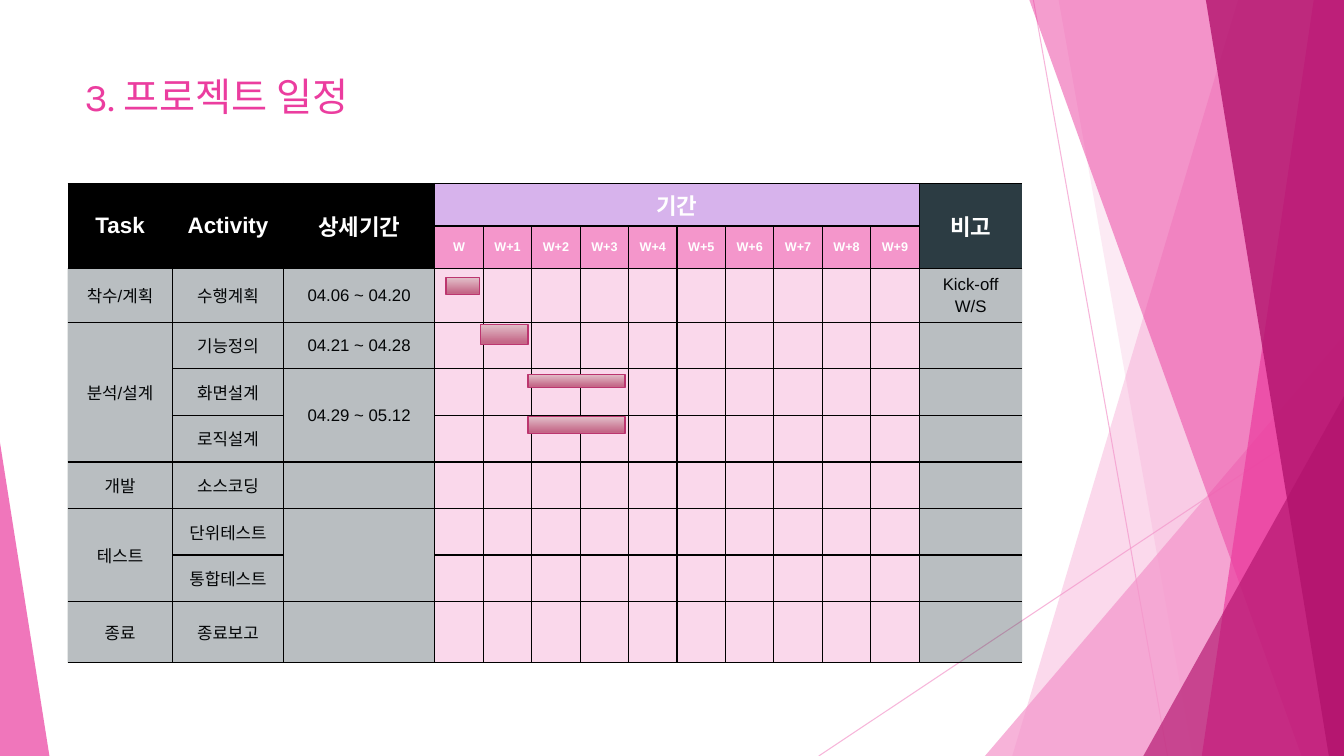
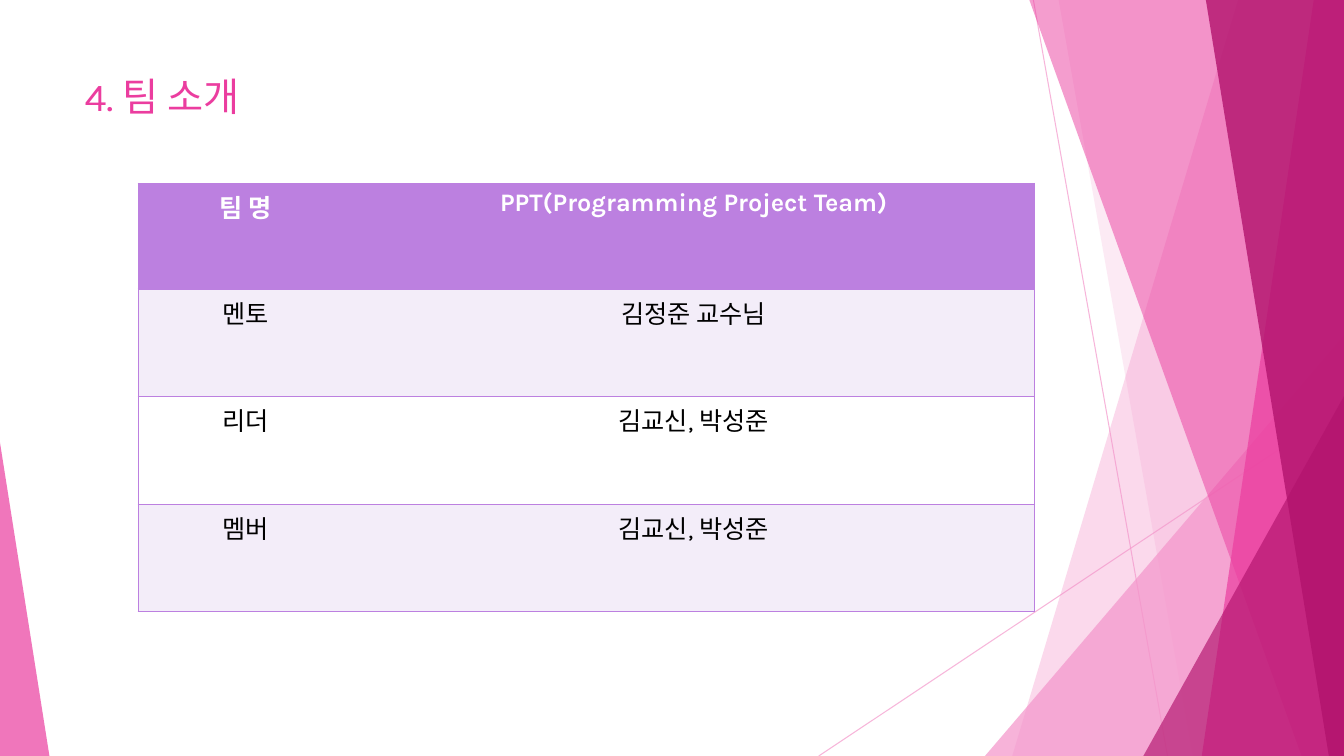
import itertools

import lxml.etree
import pptx
import pptx.dml.color
import pptx.enum.shapes
import pptx.enum.text
import pptx.oxml.ns
import pptx.util

RGB = pptx.dml.color.RGBColor
SHAPE = pptx.enum.shapes.MSO_SHAPE
qn = pptx.oxml.ns.qn
Pt = pptx.util.Pt
Inches = pptx.util.Inches

SLIDE_W, SLIDE_H = Inches(13.33), Inches(7.5)

WHITE = RGB(0xFF, 0xFF, 0xFF)
BLACK = RGB(0x00, 0x00, 0x00)
INK = RGB(0x04, 0x06, 0x07)
SLATE = RGB(0x2C, 0x3C, 0x43)
PINK = RGB(0xF4, 0x96, 0xCB)
MAGENTA = RGB(0xEB, 0x3D, 0x9F)
BERRY = RGB(0xB2, 0x13, 0x6D)
LILAC = RGB(0xD7, 0xB3, 0xEC)
PURPLE = RGB(0xBC, 0x80, 0xE0)
PALE_LILAC = RGB(0xF3, 0xED, 0xF9)
BAR_LIGHT = RGB(0xE2, 0xBF, 0xC9)
BAR_DARK = RGB(0xC4, 0x67, 0x87)
BAR_EDGE = RGB(0xBC, 0x35, 0x6F)

# Backdrop, in percent of the slide: colour, opacity, then the outline
RAYS = [(76.89, 0, 86.87, 100), (100, 53.73, 60.92, 100)]
FACETS = [
    ("band", PINK, 36, (92.12, 75.32)),
    ("band", PINK, 20, (78.77, 88.75)),
    ("triangle", PINK, 72, (73.29, 44.4, 26.71, 55.6), 1),
    ("band", MAGENTA, 50, (76.59, 96.85)),
    ("band", MAGENTA, 70, (97.75, 89.42)),
    ("band", BERRY, 80, (89.72, 98.87)),
    ("triangle", BERRY, 66, (85.07, 52.4, 14.93, 47.6), 1),
    ("triangle", MAGENTA, 70, (0, 58.53, 3.68, 41.47), 0),
]
TITLE_AREA = (5.55, 8.93, 70.52, 19.2)

# Cell styles
CENTRED = {"vertical_anchor": pptx.enum.text.MSO_ANCHOR.MIDDLE}
NARROW = {**CENTRED, "margin_left": 0, "margin_right": 0}


def cell_style(fill, opacity, ink, size, bold=False, name="Arial", cell=CENTRED, before=0.2):
    return {"fill": fill, "opacity": opacity, "ink": ink, "cell": cell,
            "font": {"size": Pt(size), "bold": bold, "name": name},
            "paragraph": {"alignment": pptx.enum.text.PP_ALIGN.CENTER,
                          "space_before": Pt(size * before)}}


HEAD = cell_style(BLACK, 100, WHITE, 16, True)
PERIOD = cell_style(LILAC, 100, WHITE, 16, True)
REMARK = cell_style(SLATE, 100, WHITE, 16, True)
WEEK = cell_style(PINK, 100, WHITE, 9, True, cell=NARROW)
LABEL = cell_style(SLATE, 33, INK, 12)
SLOT = cell_style(PINK, 37, INK, 12)
TEAM_HEAD, TEAM_TINT, TEAM_PLAIN = (
    cell_style(fill, 100, ink, 18, bold, "Karla", {}, 0)
    for fill, ink, bold in [(PURPLE, WHITE, True), (PALE_LILAC, BLACK, False),
                            (WHITE, BLACK, False)])

# Schedule content
WEEKS = 10
FIRST_WEEK = 3
LAST = FIRST_WEEK + WEEKS
SCHEDULE_AREA = (5.03, 24.27, 71.04, 63.07)
SCHEDULE_COLS = [1.04, 1.1, 1.5] + [0.48] * WEEKS + [1.02]
SCHEDULE_ROWS = [0.42, 0.42, 0.51] + [0.46] * 6 + [0.6]
TASKS = [
    ("착수/계획", "수행계획", "04.06 ~ 04.20", "Kick-off\nW/S"),
    ("분석/설계", "기능정의", "04.21 ~ 04.28", ""),
    ("", "화면설계", "04.29 ~ 05.12", ""),
    ("", "로직설계", "", ""),
    ("개발", "소스코딩", "", ""),
    ("테스트", "단위테스트", "", ""),
    ("", "통합테스트", "", ""),
    ("종료", "종료보고", "", ""),
]
MERGES = [(0, 0, 1, 0), (0, 1, 1, 1), (0, 2, 1, 2), (0, FIRST_WEEK, 0, LAST - 1),
          (0, LAST, 1, LAST), (3, 0, 5, 0), (4, 2, 5, 2), (7, 0, 8, 0), (7, 2, 8, 2)]
# Row, start week, weeks; then drop and height as shares of the row
BARS = [(2, 0.23, 0.69, 0.18, 0.33), (3, 0.94, 0.98, 0.09, 0.43),
        (4, 1.92, 2, 0.17, 0.28), (5, 1.92, 2, 0.07, 0.37)]

# Team content
TEAM_AREA = (10.28, 24.27, 66.69, 56.67)
TEAM_COLS = [2.13, 6.76]
TEAM_ROWS = [1.05, 1.07, 1.07, 1.07]
TEAM = [("팀 명", "PPT(Programming Project Team)"), ("멘토", "김정준 교수님"),
        ("리더", "김교신, 박성준"), ("멤버", "김교신, 박성준")]


def apply(target, values):
    for key, value in values.items():
        setattr(target, key, value)


def across(percent):
    return round(SLIDE_W * percent / 100)


def down(percent):
    return round(SLIDE_H * percent / 100)


def area(left, top, width, height):
    return across(left), down(top), across(width), down(height)


def set_opacity(element, percent):
    for colour in element.iter(qn("a:srgbClr")):
        lxml.etree.SubElement(colour, qn("a:alpha")).set("val", str(percent * 1000))


def draw_backdrop(slide):
    # Thin rays
    for x1, y1, x2, y2 in RAYS:
        ray = slide.shapes.add_connector(pptx.enum.shapes.MSO_CONNECTOR.STRAIGHT,
                                         across(x1), down(y1), across(x2), down(y2))
        ray.line.color.rgb = PINK
        ray.line.width = Pt(0.75)
        set_opacity(ray.element, 70)
        lxml.etree.SubElement(ray.element.spPr, qn("a:effectLst"))
    # Translucent facets; a band runs from its slanted left side to the slide edge
    for kind, colour, opacity, outline, *apex in FACETS:
        if kind == "band":
            top_x, bottom_x = map(across, outline)
            builder = slide.shapes.build_freeform(top_x, 0)
            builder.add_line_segments([(SLIDE_W, 0), (SLIDE_W, SLIDE_H), (bottom_x, SLIDE_H)])
            facet = builder.convert_to_shape()
        else:
            facet = slide.shapes.add_shape(SHAPE.ISOSCELES_TRIANGLE, *area(*outline))
            facet.adjustments[0] = apex[0]
        facet.shadow.inherit = False
        facet.fill.solid()
        facet.fill.fore_color.rgb = colour
        facet.line.fill.background()
        set_opacity(facet.element, opacity)


def draw_title(slide, wording):
    frame = slide.shapes.add_textbox(*area(*TITLE_AREA)).text_frame
    frame.word_wrap = True
    run = frame.paragraphs[0].add_run()
    run.text = wording
    apply(run.font, {"size": Pt(28), "name": "Karla"})
    run.font.color.rgb = MAGENTA


def start_slide(deck, wording):
    slide = deck.slides.add_slide(deck.slide_layouts[6])
    draw_backdrop(slide)
    draw_title(slide, wording)
    return slide


def set_borders(cell, edges, colour):
    properties = cell._tc.get_or_add_tcPr()
    for place, edge in enumerate("LRTB"):
        border = lxml.etree.Element(qn("a:ln" + edge), w=str(Pt(1)))
        if edge in edges:
            fill = lxml.etree.SubElement(border, qn("a:solidFill"))
            lxml.etree.SubElement(fill, qn("a:srgbClr"), val=str(colour))
        else:
            lxml.etree.SubElement(border, qn("a:noFill"))
        properties.insert(place, border)


def format_cell(cell, wording, style):
    apply(cell, style["cell"])
    cell.fill.solid()
    cell.fill.fore_color.rgb = style["fill"]
    if style["opacity"] < 100:
        set_opacity(cell._tc, style["opacity"])
    if not wording:
        return
    cell.text_frame.text = wording
    for paragraph in cell.text_frame.paragraphs:
        apply(paragraph, style["paragraph"])
        for run in paragraph.runs:
            apply(run.font, style["font"])
            run.font.color.rgb = style["ink"]


def draw_table(slide, box, col_shares, row_shares, content, border, edges_at, merges=()):
    """Place a table whose content(row, col) gives wording and style."""
    rows, cols = len(row_shares), len(col_shares)
    table = slide.shapes.add_table(rows, cols, *box).table
    apply(table, {"first_row": False, "horz_banding": False})
    for col, share in zip(table.columns, col_shares):
        col.width = round(box[2] * share / sum(col_shares))
    for row, share in zip(table.rows, row_shares):
        row.height = round(box[3] * share / sum(row_shares))
    for row, col in itertools.product(range(rows), range(cols)):
        cell = table.cell(row, col)
        format_cell(cell, *content(row, col))
        set_borders(cell, edges_at(col), border)
    for top, left, bottom, right in merges:
        table.cell(top, left).merge(table.cell(bottom, right))


def schedule_cell(row, col):
    in_weeks = FIRST_WEEK <= col < LAST
    if row == 0 or (row == 1 and not in_weeks):
        headings = {0: "Task", 1: "Activity", 2: "상세기간", FIRST_WEEK: "기간", LAST: "비고"}
        style = PERIOD if in_weeks else REMARK if col == LAST else HEAD
        return headings.get(col, "") if row == 0 else "", style
    if row == 1:
        week = col - FIRST_WEEK
        return f"W+{week}" if week else "W", WEEK
    if in_weeks:
        return "", SLOT
    return TASKS[row - 2][min(col, FIRST_WEEK)], LABEL


def schedule_edges(col):
    return {0: "RTB", LAST: "LTB"}.get(col, "LRTB")


def draw_bars(slide, box):
    left, top, width, height = box
    col_unit = width / sum(SCHEDULE_COLS)
    row_unit = height / sum(SCHEDULE_ROWS)
    weeks_left = left + col_unit * sum(SCHEDULE_COLS[:FIRST_WEEK])
    week = col_unit * SCHEDULE_COLS[FIRST_WEEK]
    for row, start, length, drop, thickness in BARS:
        row_top = top + row_unit * sum(SCHEDULE_ROWS[:row])
        row_height = row_unit * SCHEDULE_ROWS[row]
        bar = slide.shapes.add_shape(
            SHAPE.RECTANGLE, round(weeks_left + start * week), round(row_top + drop * row_height),
            round(length * week), round(thickness * row_height))
        bar.shadow.inherit = False
        bar.fill.gradient()
        bar.fill.gradient_angle = 270
        for stop, colour, position in zip(bar.fill.gradient_stops, (BAR_LIGHT, BAR_DARK), (0, 0.88)):
            stop.color.rgb = colour
            stop.position = position
        bar.line.color.rgb = BAR_EDGE
        bar.line.width = Pt(1)


def schedule_slide(deck):
    slide = start_slide(deck, "3. 프로젝트 일정")
    box = area(*SCHEDULE_AREA)
    draw_table(slide, box, SCHEDULE_COLS, SCHEDULE_ROWS, schedule_cell, BLACK,
               schedule_edges, MERGES)
    draw_bars(slide, box)


def team_cell(row, col):
    style = TEAM_HEAD if row == 0 else TEAM_TINT if row % 2 else TEAM_PLAIN
    return TEAM[row][col], style


def team_edges(col):
    return "RTB" if col else "LTB"


def team_slide(deck):
    slide = start_slide(deck, "4. 팀 소개")
    draw_table(slide, area(*TEAM_AREA), TEAM_COLS, TEAM_ROWS, team_cell, PURPLE, team_edges)


def main():
    deck = pptx.Presentation()
    apply(deck, {"slide_width": SLIDE_W, "slide_height": SLIDE_H})
    schedule_slide(deck)
    team_slide(deck)
    deck.save("out.pptx")


if __name__ == "__main__":
    main()
